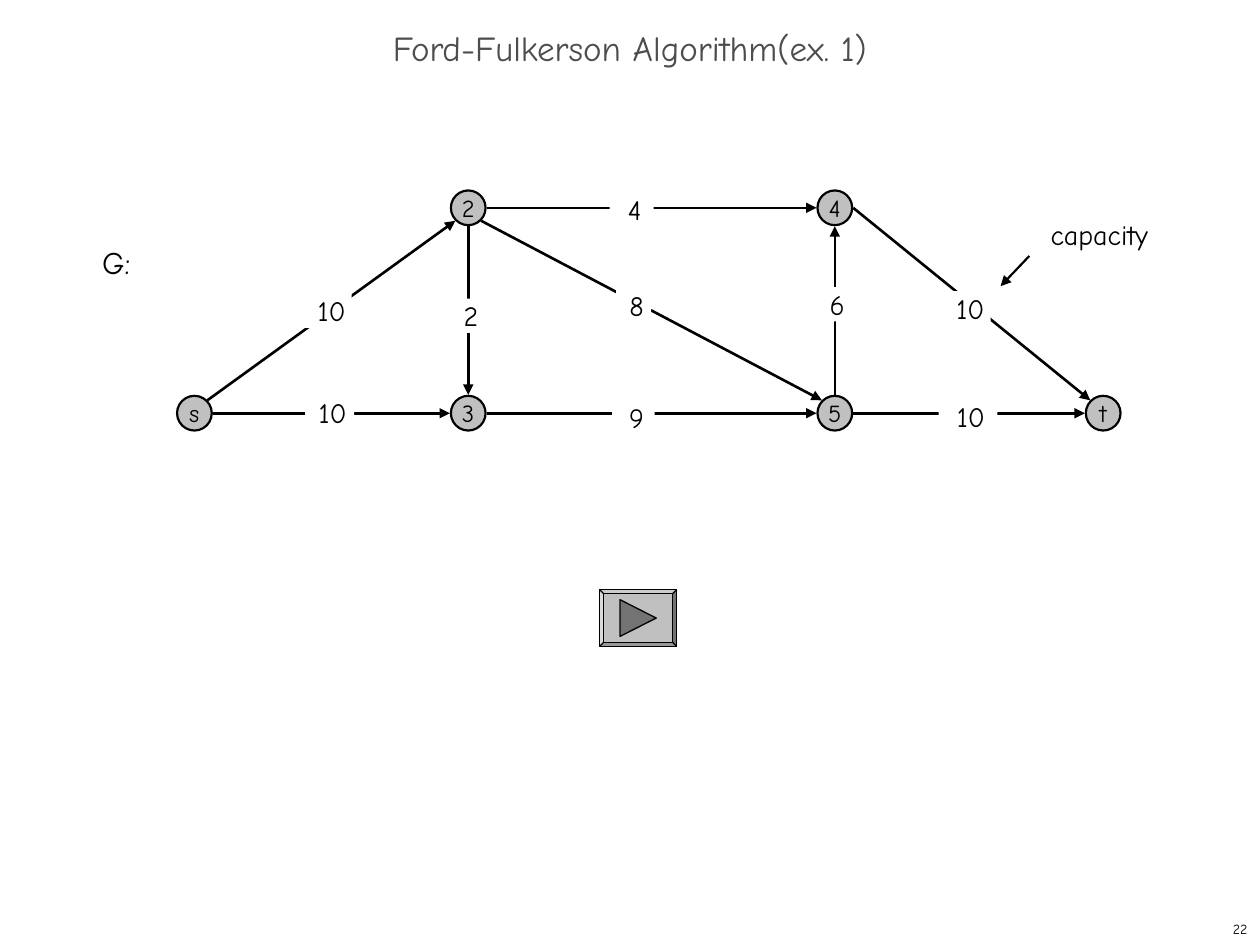
from dataclasses import dataclass
from lxml.etree import SubElement
from pptx import Presentation
from pptx.dml.color import RGBColor
from pptx.enum.shapes import MSO_CONNECTOR, MSO_SHAPE
from pptx.enum.text import MSO_ANCHOR, PP_ALIGN
from pptx.oxml.ns import qn
from pptx.util import Cm, Pt


@dataclass(frozen=True)
class Theme:
    font: str = "Comic Neue"
    ink: RGBColor = RGBColor(0, 0, 0)
    head: RGBColor = RGBColor(0x4D, 0x4D, 0x4D)
    node: RGBColor = RGBColor(0xC0, 0xC0, 0xC0)
    play: RGBColor = RGBColor(0x73, 0x73, 0x73)
    paper: RGBColor = RGBColor(255, 255, 255)
    title: int = 20
    graph: int = 18
    label: int = 16
    name: int = 14
    page: int = 8


look = Theme()


def write(shape, text, size, color=look.ink, align=PP_ALIGN.CENTER,
          anchor=MSO_ANCHOR.TOP, wrap=True, inset=None):
    frame = shape.text_frame
    frame.word_wrap = wrap
    frame.vertical_anchor = anchor
    if inset is not None:
        frame.margin_left = Cm(inset)
        frame.margin_top = frame.margin_right = frame.margin_bottom = 0
    para = frame.paragraphs[0]
    para.alignment = align
    run = para.add_run()
    run.text = text
    run.font.name = look.font
    run.font.size = Pt(size)
    run.font.color.rgb = color
    return para


def arrow(start, end, width):
    line = slide.shapes.add_connector(
        MSO_CONNECTOR.STRAIGHT, *[Cm(v) for v in (*start, *end)])
    line.line.color.rgb = look.ink
    line.line.width = Pt(width)
    SubElement(line.line._get_or_add_ln(), qn("a:tailEnd"), type="triangle")
    SubElement(line._element.spPr, qn("a:effectLst"))


deck = Presentation()
deck.slide_width, deck.slide_height = Cm(25.4), Cm(19.05)
slide = deck.slides.add_slide(deck.slide_layouts[5])

# Title
title = slide.shapes.title
title.left, title.top, title.width, title.height = Cm(0), Cm(0.43), Cm(25.4), Cm(1.27)
para = write(title, "Ford-Fulkerson Algorithm(ex. 1)", look.title, look.head,
             anchor=MSO_ANCHOR.MIDDLE)
para.line_spacing = 0.7

# Page number
page = slide.shapes.add_textbox(Cm(20.12), Cm(18.41), Cm(5.28), Cm(0.64))
write(page, "22", look.page, align=PP_ALIGN.RIGHT, anchor=MSO_ANCHOR.MIDDLE)

# Nodes, placed by their centres on two rows
high, low = 4.19, 8.33
nodes = {"s": (3.92, low), "2": (9.44, high), "3": (9.44, low),
         "4": (16.83, high), "5": (16.83, low), "t": (22.24, low)}
side = 0.7
for name, (x, y) in nodes.items():
    dot = slide.shapes.add_shape(MSO_SHAPE.OVAL, Cm(x - side / 2), Cm(y - side / 2),
                                 Cm(side), Cm(side))
    dot.shadow.inherit = False
    dot.fill.solid()
    dot.fill.fore_color.rgb = look.node
    dot.line.color.rgb = look.ink
    dot.line.width = Pt(1.25)
    write(dot, name, look.name, anchor=MSO_ANCHOR.MIDDLE, wrap=False)

# Edges, each leaving and entering a node at a compass point
gap, slant = 0.37, 0.26
ports = {"N": (0, -gap), "S": (0, gap), "E": (gap, 0), "W": (-gap, 0),
         "NE": (slant, -slant), "SE": (slant, slant),
         "SW": (-slant, slant), "NW": (-slant, -slant)}
edges = [("s", "NE", "2", "SW"), ("s", "E", "3", "W"), ("3", "E", "5", "W"),
         ("2", "E", "4", "W"), ("2", "S", "3", "N"), ("5", "N", "4", "S"),
         ("2", "SE", "5", "NW"), ("4", "E", "t", "NW"), ("5", "E", "t", "W")]
for tail, out, tip, into in edges:
    ends = [[c + d for c, d in zip(nodes[n], ports[p])]
            for n, p in ((tail, out), (tip, into))]
    arrow(*ends, 1.5)

# Capacities and graph name: text, left, top, width, left inset
left, mid = PP_ALIGN.LEFT, PP_ALIGN.CENTER
labels = [("10", 6.15, 7.98, 0.99, 0.12), ("10", 5.92, 5.92, 1.17, 0.36),
          ("9", 12.34, 8.08, 0.86, 0.12), ("8", 12.42, 5.82, 0.71, 0.12),
          ("4", 12.29, 3.89, 0.89, 0.12), ("10", 18.92, 8.05, 1.19, 0.12),
          ("10", 18.8, 5.87, 1.17, 0.36), ("6", 16.23, 5.79, 1.17, 0.12),
          ("2", 8.84, 6.02, 1.19, 0.12), ("G:", 1.88, 4.9, 1.22, 0.18)]
for text, x, y, wide, inset in labels:
    graph = text == "G:"
    box = slide.shapes.add_shape(MSO_SHAPE.RECTANGLE, Cm(x), Cm(y), Cm(wide),
                                 Cm(0.76 if graph else 0.69))
    box.shadow.inherit = False
    box.fill.solid()
    box.fill.fore_color.rgb = look.paper
    box.line.fill.background()
    write(box, text, look.graph if graph else look.label,
          align=left if graph else mid, inset=inset)

# Capacity note and its pointer
note = slide.shapes.add_textbox(Cm(20.6), Cm(4.27), Cm(3.12), Cm(0.94))
write(note, "capacity", look.label)
arrow((20.75, 5.16), (20.17, 5.77), 1.25)

# Play button
key = slide.shapes.add_shape(MSO_SHAPE.BEVEL, Cm(12.09), Cm(11.89), Cm(1.55), Cm(1.14))
key.adjustments[0] = 0.07
pen = slide.shapes.build_freeform(Cm(12.5), Cm(12.09))
pen.add_line_segments([(Cm(13.23), Cm(12.46)), (Cm(12.5), Cm(12.83))], close=True)
for part, color in ((key, look.node), (pen.convert_to_shape(), look.play)):
    part.shadow.inherit = False
    part.fill.solid()
    part.fill.fore_color.rgb = color
    part.line.color.rgb = look.ink
    part.line.width = Pt(0.75)

deck.save("out.pptx")
